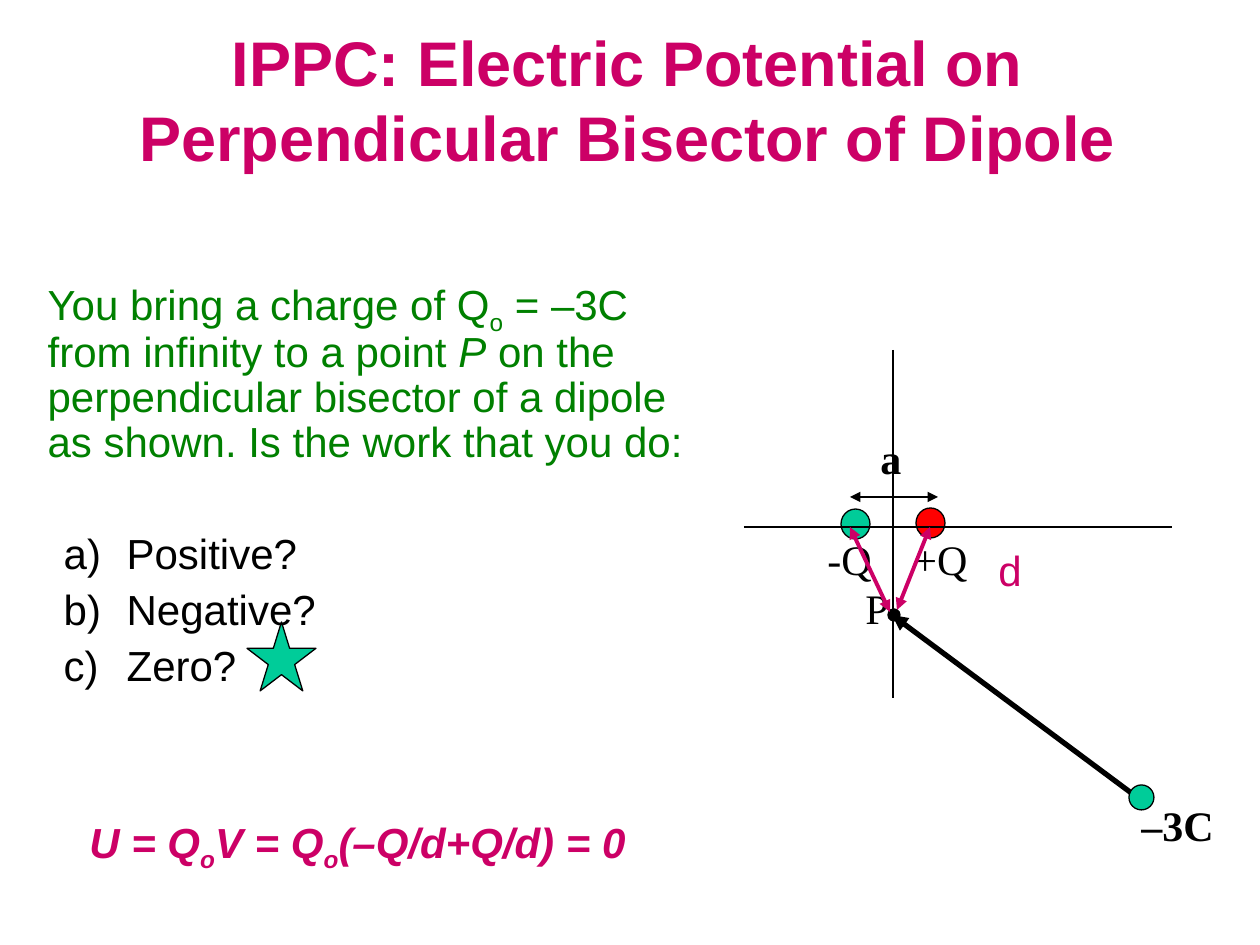
from lxml.etree import SubElement
from pptx import Presentation
from pptx.dml.color import RGBColor
from pptx.enum.shapes import MSO_CONNECTOR, MSO_SHAPE
from pptx.enum.text import MSO_ANCHOR, MSO_AUTO_SIZE, PP_ALIGN
from pptx.oxml.ns import qn
from pptx.util import Pt

PX = 914400 // 126
PINK, GREEN, TEAL, RED, BLACK = "CC0066", "008000", "00CC99", "FF0000", "000000"
SERIF = "Times New Roman"
rgb = RGBColor.from_string


def write(para, text, size=24, font="Arial", color=BLACK, bold=False, italic=False, sub=False):
    run = para.add_run()
    run.text = text
    face = run.font
    face.size, face.name, face.bold, face.italic = Pt(size), font, bold, italic
    face.color.rgb = rgb(color)
    if sub:
        run._r.get_or_add_rPr().set("baseline", "-25000")


def link(ends, color=BLACK, width=0.75, heads=()):
    """Draw a straight line; heads names the ends that carry an arrowhead."""
    line = slide.shapes.add_connector(MSO_CONNECTOR.STRAIGHT, *[v * PX for v in ends])
    line.line.color.rgb = rgb(color)
    line.line.width = Pt(width)
    props = line._element.spPr
    for head in heads:
        SubElement(props.get_or_add_ln(), qn("a:" + head), type="triangle")
    SubElement(props, qn("a:effectLst"))


deck = Presentation()
deck.slide_width, deck.slide_height = 1260 * PX, 945 * PX
slide = deck.slides.add_slide(deck.slide_layouts[1])

# Title and question
title, body = slide.placeholders
for holder, spot in ((title, (92, 20, 1071, 158)), (body, (35, 273, 670, 567))):
    holder.left, holder.top, holder.width, holder.height = [v * PX for v in spot]
    holder.text_frame.auto_size = MSO_AUTO_SIZE.NONE
title.text_frame.vertical_anchor = MSO_ANCHOR.MIDDLE
para = title.text_frame.paragraphs[0]
para.alignment = PP_ALIGN.CENTER
write(para, "IPPC: Electric Potential on Perpendicular Bisector of Dipole",
      size=36, color=PINK, bold=True)

para = body.text_frame.paragraphs[0]
para.line_spacing, para.space_before = 0.9, Pt(6)
props = para._p.get_or_add_pPr()
props.set("marL", "0")
props.set("indent", "0")
SubElement(props, qn("a:buNone"))
for text, style in (
    ("You bring a charge of Q", {}),
    ("o", {"sub": True}),
    (" = –3C from infinity to a point ", {}),
    ("P", {"italic": True}),
    (" on the perpendicular bisector of a dipole as shown. Is the work that you do:", {}),
):
    write(para, text, color=GREEN, **style)

for text, gap in (("Positive?", 38), ("Negative?", 6), ("Zero?", 6)):
    para = body.text_frame.add_paragraph()
    para.level = 1
    para.line_spacing, para.space_before = 0.9, Pt(gap)
    props = para._p.get_or_add_pPr()
    props.set("marL", str(79 * PX))
    props.set("indent", str(-63 * PX))
    tint = SubElement(props, qn("a:buClr"))
    SubElement(tint, qn("a:srgbClr"), val=BLACK)
    SubElement(props, qn("a:buFont"), typeface="Arial")
    SubElement(props, qn("a:buAutoNum"), type="alphaLcParenR")
    write(para, text)

# Charges, point P and the answer star, with the axes and path between them
OVAL, STAR = MSO_SHAPE.OVAL, MSO_SHAPE.STAR_5_POINT
marks = (
    (OVAL, 841, 509, 29, 30, TEAL),
    (OVAL, 916, 508, 29, 30, RED),
    (OVAL, 1129, 785, 25, 25, TEAL),
    (OVAL, 888, 609, 12, 12, BLACK),
    (STAR, 247, 622, 69, 69, TEAL),
)
for index, (kind, *spot, color) in enumerate(marks):
    if index == 2:
        link((744, 527, 1172, 527))
        link((850, 497, 938, 497), heads=("headEnd", "tailEnd"))
        link((893, 350, 893, 698))
        link((1134, 795, 892, 615), width=3, heads=("tailEnd",))
    mark = slide.shapes.add_shape(kind, *[v * PX for v in spot])
    mark.shadow.inherit = False
    mark.fill.solid()
    mark.fill.fore_color.rgb = rgb(color)
    mark.line.color.rgb = rgb(BLACK)
    mark.line.width = Pt(0.75)

# Labels and the equation, each box a little wider than its text
pink = {"color": PINK}
serif = {"font": SERIF}
heavy = {"font": SERIF, "bold": True}
slant = {"color": PINK, "bold": True, "italic": True}
small = {**slant, "sub": True}
labels = (
    ((868, 426, 55, 63), [("a", heavy)]),
    ((815, 527, 80, 63), [("-Q", serif)]),
    ((901, 527, 90, 63), [("+Q", serif)]),
    ((1129, 793, 110, 63), [("–3C", heavy)]),
    ((853, 576, 58, 63), [("P", serif)]),
    ((986, 538, 58, 63), [("d", pink)]),
    ((77, 810, 655, 71), [("U = Q", slant), ("o", small), ("V = Q", slant),
                          ("o", small), ("(–Q/d+Q/d) = 0", slant)]),
)
for spot, runs in labels:
    frame = slide.shapes.add_textbox(*[v * PX for v in spot]).text_frame
    frame.word_wrap = True
    for text, style in runs:
        write(frame.paragraphs[0], text, **style)

# Distances d from each charge to P
for ends in ((930, 527, 897, 610), (850, 527, 890, 612)):
    link(ends, PINK, 2.25, ("headEnd", "tailEnd"))

deck.save("out.pptx")
